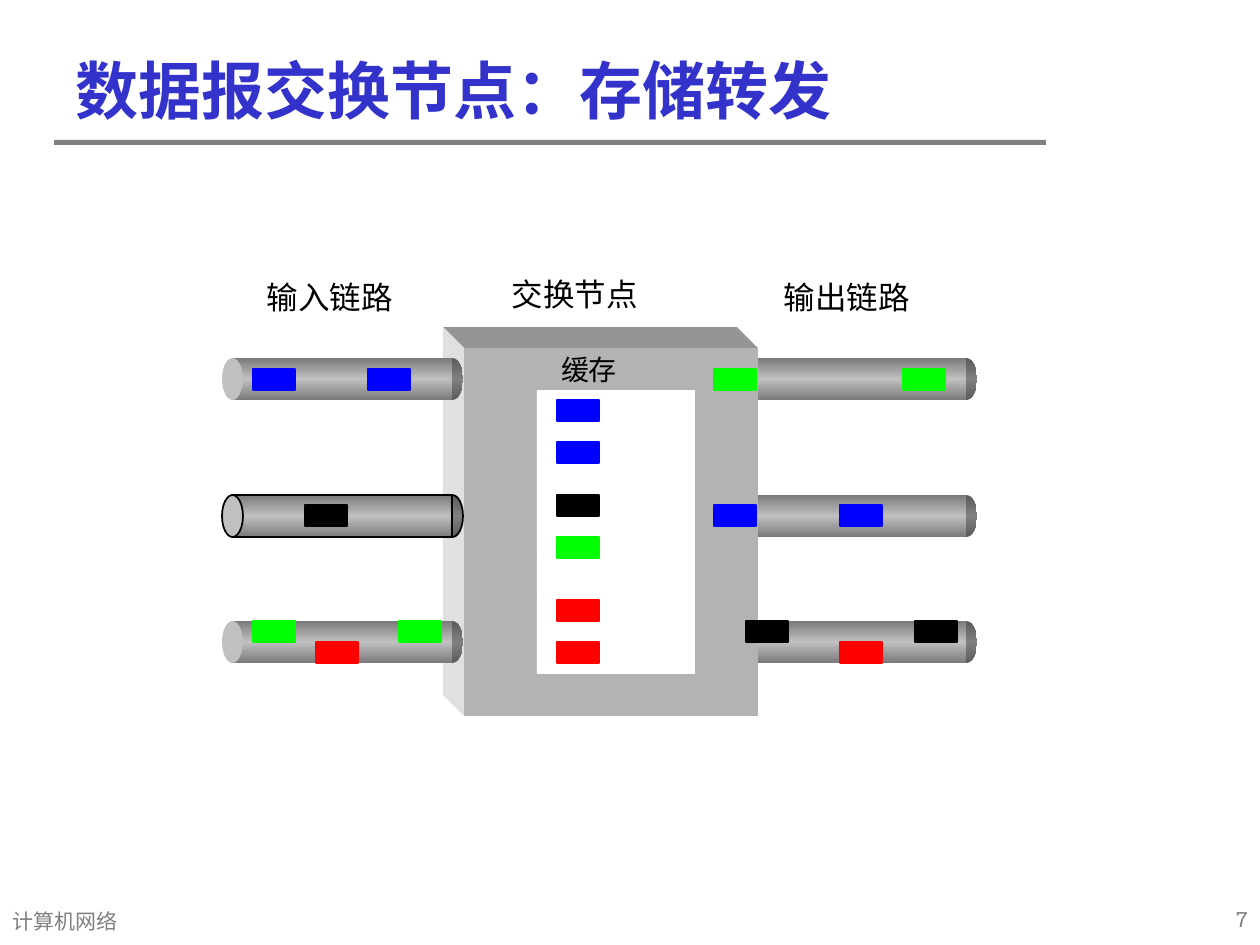
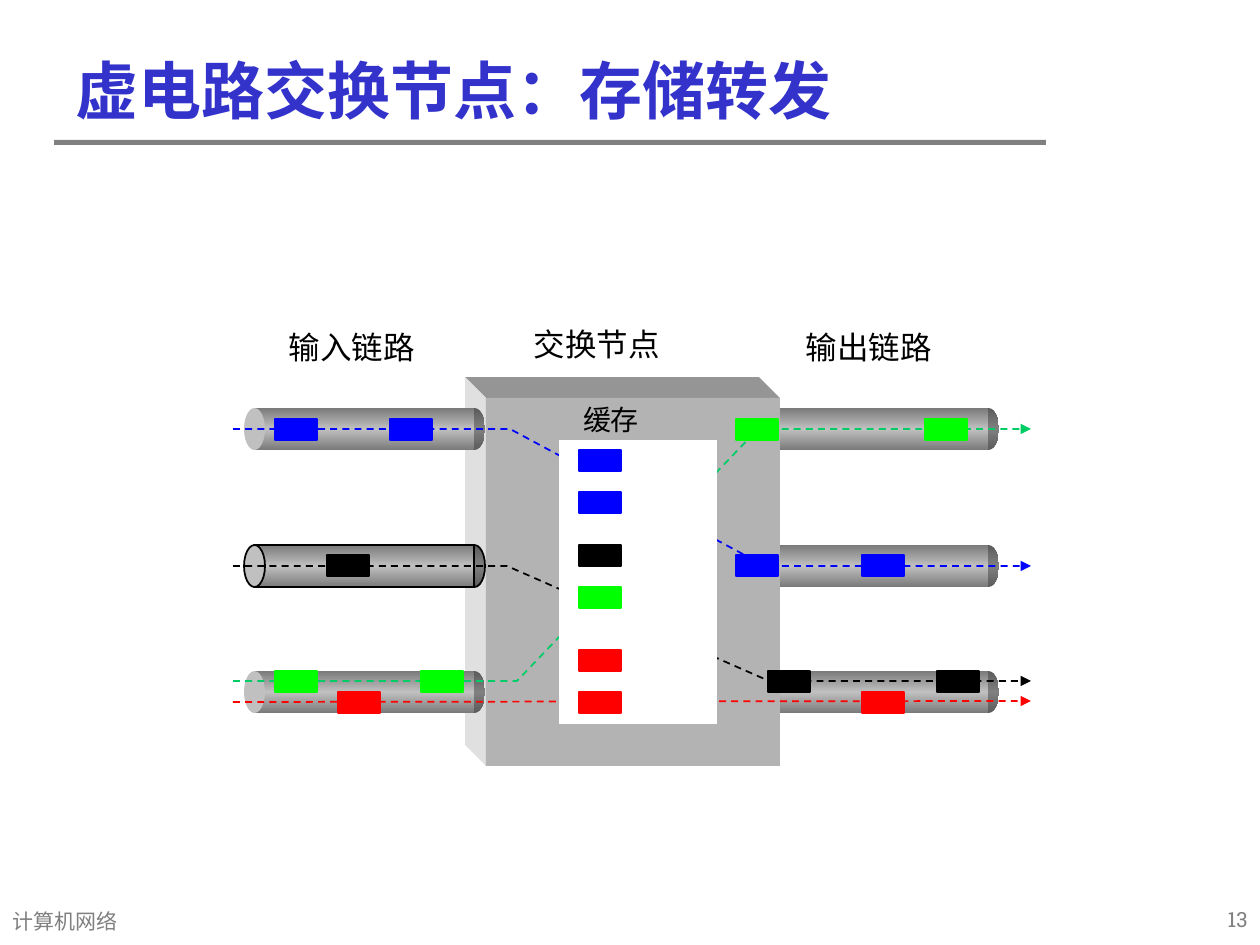
"""Two slides comparing store-and-forward in datagram and virtual-circuit switching nodes."""
from copy import deepcopy

from lxml import etree
from pptx import Presentation
from pptx.dml.color import RGBColor
from pptx.enum.dml import MSO_LINE
from pptx.enum.shapes import MSO_CONNECTOR, MSO_SHAPE
from pptx.enum.text import MSO_ANCHOR, MSO_AUTO_SIZE, PP_ALIGN
from pptx.oxml.ns import qn
from pptx.util import Pt

RECT, OVAL = MSO_SHAPE.RECTANGLE, MSO_SHAPE.OVAL
STRAIGHT, DASH = MSO_CONNECTOR.STRAIGHT, MSO_LINE.DASH
LEFT, CENTER, RIGHT = PP_ALIGN.LEFT, PP_ALIGN.CENTER, PP_ALIGN.RIGHT
TOP, BOTTOM = MSO_ANCHOR.TOP, MSO_ANCHOR.BOTTOM
NO_FIT, FIT_SHAPE = MSO_AUTO_SIZE.NONE, MSO_AUTO_SIZE.SHAPE_TO_FIT_TEXT

SCALE = 914400 / 126
TITLE_ONLY = 5
TITLE_FONT, FOOTER_FONT, CJK_FONT = "Arial", "Roboto Slab", "Noto Sans CJK SC"

TITLE_BLUE = RGBColor(0x33, 0x33, 0xCC)
GREY = RGBColor(0x80, 0x80, 0x80)
WHITE = RGBColor(0xFF, 0xFF, 0xFF)
BLACK = RGBColor(0x00, 0x00, 0x00)
BLUE = RGBColor(0x00, 0x00, 0xFF)
GREEN = RGBColor(0x00, 0xFF, 0x00)
RED = RGBColor(0xFF, 0x00, 0x00)
JADE = RGBColor(0x00, 0xCC, 0x66)
PIPE_LIGHT = RGBColor(0xC0, 0xC0, 0xC0)
PIPE_DARK = RGBColor(0x7A, 0x7A, 0x7A)
END_DARK = RGBColor(0x5B, 0x5B, 0x5B)
NODE_FRONT = RGBColor(0xB3, 0xB3, 0xB3)
NODE_TOP = RGBColor(0x95, 0x95, 0x95)
NODE_SIDE = RGBColor(0xE0, 0xE0, 0xE0)

FOOTER = "计算机网络"
SLIDES = [
    {"title": "数据报交换节点：存储转发", "number": "7", "shift": (0, 0), "circuits": False},
    {"title": "虚电路交换节点：存储转发", "number": "13", "shift": (22, 50), "circuits": True},
]

INPUT_X, OUTPUT_X = 222, 736
PIPE_ROWS = (358, 495, 621)
OUTLINED_ROW = 495
CAP_W, PIPE_W, PIPE_H = 21, 220, 42
NODE_X, NODE_Y, NODE_W, NODE_H, NODE_DEPTH = 464, 348, 294, 368, 21
BUFFER = (537, 390, 158, 284)

LINK_LABELS = [
    ("输入链路", 267, 278),
    ("输出链路", 784, 278),
    ("交换节点", 512, 275),
]
BUFFER_LABEL = ("缓存", 548, 346, 82, 47)

PACKET_W, PACKET_H = 42, 21
PACKETS = {
    BLUE: [(253, 369), (368, 369), (557, 400), (557, 442), (714, 505), (840, 505)],
    BLACK: [(305, 505), (557, 495), (746, 621), (915, 621)],
    GREEN: [(253, 621), (399, 621), (557, 537), (714, 369), (903, 369)],
    RED: [(316, 642), (557, 642), (557, 600), (840, 642)],
}

CIRCUIT_START, CIRCUIT_END = 211, 1009
RED_CIRCUIT = (652, 651)
BENT_CIRCUITS = [
    (JADE, (495, 631), (736, 379)),
    (BLUE, (488, 379), (743, 516)),
    (BLACK, (485, 516), (747, 631)),
]


def px(*lengths):
    return [round(length * SCALE) for length in lengths]


def write(box, text, font, size, color, align=LEFT, bold=False):
    para = box.text_frame.paragraphs[0]
    para.alignment = align
    span = para.add_run()
    span.text = text
    span.font.name = font
    span.font.size = Pt(size)
    span.font.bold = bold
    span.font.color.rgb = color
    east_asian = etree.SubElement(span._r.get_or_add_rPr(), qn("a:ea"))
    east_asian.set("typeface", CJK_FONT)


def add_text(shapes, text, x, y, w, h, font, size, color, align=LEFT):
    box = shapes.add_textbox(*px(x, y, w, h))
    box.text_frame.word_wrap = True
    write(box, text, font, size, color, align)
    return box


def add_label(shapes, text, x, y, w, h, size, inset=None):
    frame = add_text(shapes, text, x, y, w, h, CJK_FONT, size, BLACK, CENTER).text_frame
    frame.word_wrap = False
    frame.auto_size = FIT_SHAPE
    if inset is not None:
        frame.margin_left = frame.margin_right = inset
        frame.margin_top = frame.margin_bottom = inset


def paint(shape, fill=None, line=None):
    shape.shadow.inherit = False
    if fill is None:
        shape.fill.background()
    else:
        shape.fill.solid()
        shape.fill.fore_color.rgb = fill
    if line is None:
        shape.line.fill.background()
    else:
        shape.line.color.rgb = line
        shape.line.width = Pt(1)


def add_block(shapes, kind, x, y, w, h, fill, line=None):
    shape = shapes.add_shape(kind, *px(x, y, w, h))
    paint(shape, fill, line)
    return shape


def shade(shape, edge, middle):
    shape.fill.gradient()
    shape.fill.gradient_angle = 90
    stop_list = shape._element.spPr.find(".//" + qn("a:gsLst"))
    stop_list.insert(1, deepcopy(stop_list[0]))
    for index, stop in enumerate(shape.fill.gradient_stops):
        stop.position = index / 2
        stop.color.rgb = middle if index == 1 else edge


def add_outline(shapes, points, closed):
    builder = shapes.build_freeform(*points[0], scale=SCALE)
    builder.add_line_segments(points[1:], close=closed)
    return builder.convert_to_shape()


def add_pipe(shapes, x, y, line=None):
    far_end = add_block(shapes, OVAL, x + PIPE_W, y, CAP_W, PIPE_H, GREY, line)
    shade(far_end, END_DARK, GREY)
    body = add_block(shapes, RECT, x + CAP_W // 2, y, PIPE_W, PIPE_H, GREY, line)
    shade(body, PIPE_DARK, PIPE_LIGHT)
    add_block(shapes, OVAL, x, y, CAP_W, PIPE_H, PIPE_LIGHT, line)


def add_node(shapes):
    right, bottom = NODE_X + NODE_W, NODE_Y + NODE_H
    back_x, back_y = NODE_X - NODE_DEPTH, NODE_Y - NODE_DEPTH
    corner = (NODE_X, NODE_Y)
    top = [(back_x, back_y), (right - NODE_DEPTH, back_y), (right, NODE_Y), corner]
    side = [(back_x, back_y), corner, (NODE_X, bottom), (back_x, bottom - NODE_DEPTH)]
    for points, color in ((top, NODE_TOP), (side, NODE_SIDE)):
        paint(add_outline(shapes, points, True), color)
    add_block(shapes, RECT, NODE_X, NODE_Y, NODE_W, NODE_H, NODE_FRONT)


def dash_with_arrow(line, color):
    line.color.rgb = color
    line.width = Pt(1)
    line.dash_style = DASH
    etree.SubElement(line._get_or_add_ln(), qn("a:tailEnd")).set("type", "triangle")


def add_circuits(shapes):
    start_y, end_y = RED_CIRCUIT
    straight = shapes.add_connector(
        STRAIGHT, *px(CIRCUIT_START, start_y, CIRCUIT_END, end_y))
    etree.SubElement(straight._element.spPr, qn("a:effectLst"))
    dash_with_arrow(straight.line, RED)
    for color, enter, leave in BENT_CIRCUITS:
        points = [(CIRCUIT_START, enter[1]), enter, leave, (CIRCUIT_END, leave[1])]
        circuit = add_outline(shapes, points, False)
        paint(circuit)
        dash_with_arrow(circuit.line, color)


def add_diagram(page, shift, circuits):
    diagram = page.shapes.add_group_shape()
    shapes = diagram.shapes
    for y in PIPE_ROWS:
        add_pipe(shapes, OUTPUT_X, y)
    add_node(shapes)
    for y in PIPE_ROWS:
        add_pipe(shapes, INPUT_X, y, BLACK if y == OUTLINED_ROW else None)
    for text, x, y in LINK_LABELS:
        add_label(shapes, text, x, y, 126, 38, 18, inset=0)
    if circuits:
        add_circuits(shapes)
    add_block(shapes, RECT, *BUFFER, WHITE)
    for color, places in PACKETS.items():
        for x, y in places:
            add_block(shapes, RECT, x, y, PACKET_W, PACKET_H, color, color)
    add_label(shapes, *BUFFER_LABEL, 16)
    move_x, move_y = px(*shift)
    diagram.left += move_x
    diagram.top += move_y


def add_page(deck, title, number):
    page = deck.slides.add_slide(deck.slide_layouts[TITLE_ONLY])
    add_block(page.shapes, RECT, 54, 140, 992, 5, GREY)
    add_text(page.shapes, FOOTER, 0, 902, 530, 43, FOOTER_FONT, 12, GREY)
    add_text(page.shapes, number, 966, 900, 294, 63, FOOTER_FONT, 12, GREY, RIGHT)
    heading = page.shapes.title
    heading.left, heading.top, heading.width, heading.height = px(63, 35, 1040, 98)
    heading.text_frame.vertical_anchor = BOTTOM
    heading.text_frame.auto_size = NO_FIT
    write(heading, title, TITLE_FONT, 36, TITLE_BLUE, bold=True)
    return page


def main():
    deck = Presentation()
    deck.slide_width, deck.slide_height = px(1260, 945)
    for content in SLIDES:
        page = add_page(deck, content["title"], content["number"])
        add_diagram(page, content["shift"], content["circuits"])
    deck.save("out.pptx")


if __name__ == "__main__":
    main()
